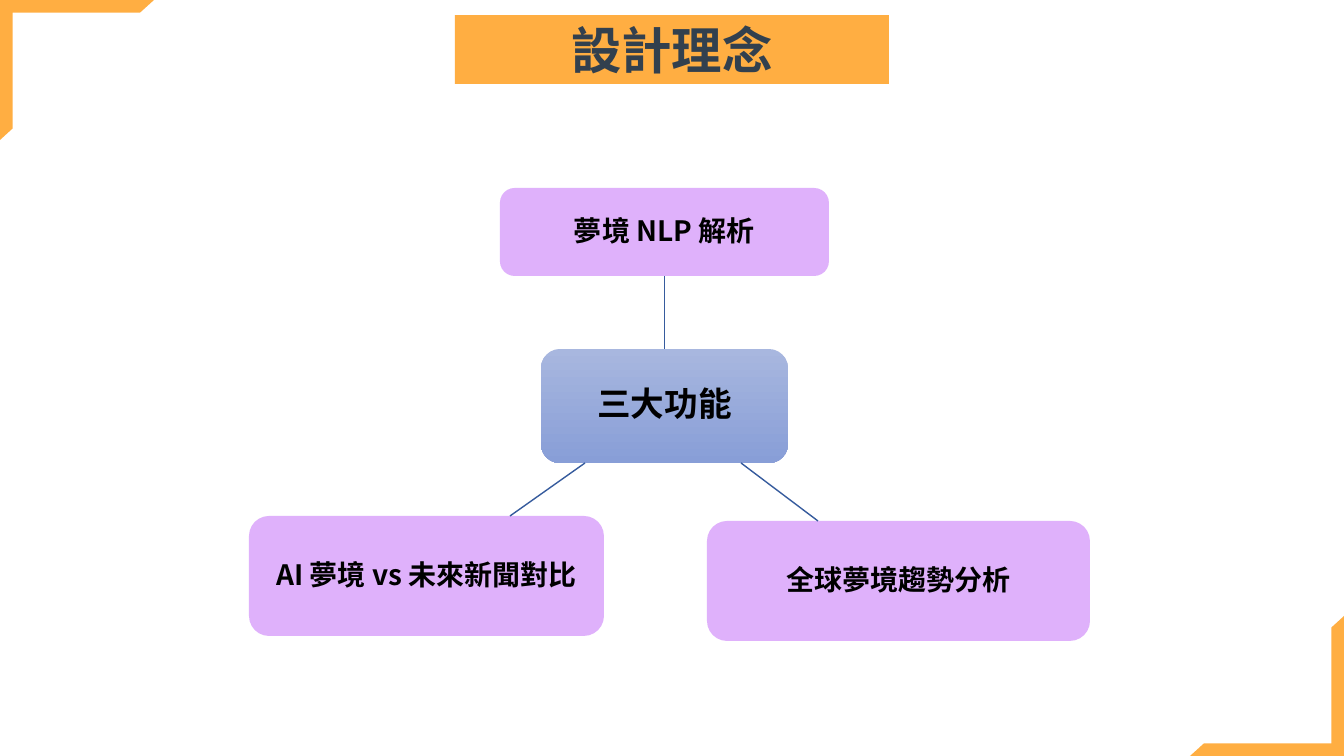
import pptx
import pptx.dml.color
import pptx.enum.dml
import pptx.enum.shapes
import pptx.enum.text
import pptx.oxml
import pptx.oxml.ns
import pptx.util

RGBColor = pptx.dml.color.RGBColor
ORANGE = RGBColor(0xFF, 0x93, 0x00)
SLATE = RGBColor(0x32, 0x40, 0x4E)
LILAC = RGBColor(0xDF, 0xB1, 0xFB)
HUB_TOP = RGBColor(0xA8, 0xB7, 0xDF)
HUB_BOTTOM = RGBColor(0x88, 0x9E, 0xD7)
LINK_BLUE = RGBColor(0x36, 0x5B, 0x9D)
BLACK = RGBColor(0, 0, 0)

PX = 914400 / 100.8
SHAPES = pptx.enum.shapes.MSO_SHAPE
TOP, BOTTOM = 0, 2


def px(length):
    return pptx.util.Emu(round(length * PX))


def add_xml(parent, tag, **attributes):
    child = pptx.oxml.parse_xml(f"<a:{tag} {pptx.oxml.ns.nsdecls('a')}/>")
    for name, value in attributes.items():
        child.set(name, value)
    parent.append(child)
    return child


def apply(target, formats):
    for name, value in formats.items():
        setattr(target, name, value)


class ConceptPage:
    cjk_font = "Noto Sans CJK SC"

    def __init__(self, deck):
        self.page = deck.slides.add_slide(deck.slide_layouts[5])

    def place(self, shape, at):
        apply(shape, dict(zip(("left", "top", "width", "height"), map(px, at))))

    def paint_orange(self, shape):
        shape.fill.solid()
        shape.fill.fore_color.rgb = ORANGE
        color = shape._element.spPr.find(".//" + pptx.oxml.ns.qn("a:srgbClr"))
        add_xml(color, "alpha", val="74000")

    def label(self, shape, text, size, color, latin, inset, spacing):
        frame = shape.text_frame
        apply(frame, {
            "word_wrap": True,
            "auto_size": pptx.enum.text.MSO_AUTO_SIZE.NONE,
            "vertical_anchor": pptx.enum.text.MSO_ANCHOR.MIDDLE,
        })
        for side in ("left", "top", "right", "bottom"):
            setattr(frame, f"margin_{side}", px(inset))
        para = frame.paragraphs[0]
        apply(para, {
            "alignment": pptx.enum.text.PP_ALIGN.CENTER,
            "line_spacing": spacing,
        })
        span = para.add_run()
        span.text = text
        apply(span.font, {"size": pptx.util.Pt(size), "bold": True, "name": latin})
        span.font.color.rgb = color
        add_xml(span.font._element, "ea", typeface=self.cjk_font)

    def title(self, text, at):
        """Turn the title placeholder into a rounded orange bar."""
        bar = self.page.shapes.title
        self.place(bar, at)
        geometry = add_xml(bar._element.spPr, "prstGeom", prst="roundRect")
        adjustments = add_xml(geometry, "avLst")
        add_xml(adjustments, "gd", name="adj", fmla="val 31600")
        self.paint_orange(bar)
        self.label(bar, text, 36, SLATE, "Calibri", 5, 1.0)

    def shape(self, kind, at):
        shape = self.page.shapes.add_shape(kind, *map(px, at))
        shape.shadow.inherit = False
        shape.line.fill.background()
        return shape

    def corner(self, at, rotation):
        corner = self.shape(SHAPES.HALF_FRAME, at)
        corner.rotation = rotation
        corner.adjustments[0] = corner.adjustments[1] = 0.09
        self.paint_orange(corner)

    def box(self, text, at, size=20):
        box = self.shape(SHAPES.ROUNDED_RECTANGLE, at)
        box.fill.solid()
        box.fill.fore_color.rgb = LILAC
        self.label(box, text, size, BLACK, self.cjk_font, 6, 0.9)
        return box

    def hub(self, text, at):
        hub = self.box(text, at, 24)
        hub.fill.gradient()
        hub.fill.gradient_angle = 270
        for stop, color in zip(hub.fill.gradient_stops, (HUB_TOP, HUB_BOTTOM)):
            stop.color.rgb = color
        return hub

    def link(self, start, end):
        link = self.page.shapes.add_connector(
            pptx.enum.shapes.MSO_CONNECTOR.STRAIGHT, *map(px, start + end))
        link.line.color.rgb = LINK_BLUE
        link.line.width = pptx.util.Pt(1)
        add_xml(link._element.spPr, "effectLst")
        return link


def main():
    deck = pptx.Presentation()
    apply(deck, {"slide_width": px(1344), "slide_height": px(756)})
    concept = ConceptPage(deck)

    concept.title("設計理念", (455, 15, 434, 69))
    concept.corner((0, 0, 154, 140), 0)
    concept.corner((1190, 616, 154, 140), 180)

    hub = concept.hub("三大功能", (541, 349, 247, 114))
    analysis = concept.box("夢境 NLP 解析", (500, 188, 329, 88))
    concept.box("全球夢境趨勢分析", (707, 521, 383, 120))
    concept.box("AI 夢境 vs 未來新聞對比", (249, 516, 355, 120))

    stem = concept.link((664, 349), (664, 276))
    stem.begin_connect(hub, TOP)
    stem.end_connect(analysis, BOTTOM)
    concept.link((741, 463), (818, 521))
    concept.link((585, 463), (510, 516))

    deck.save("out.pptx")


if __name__ == "__main__":
    main()
